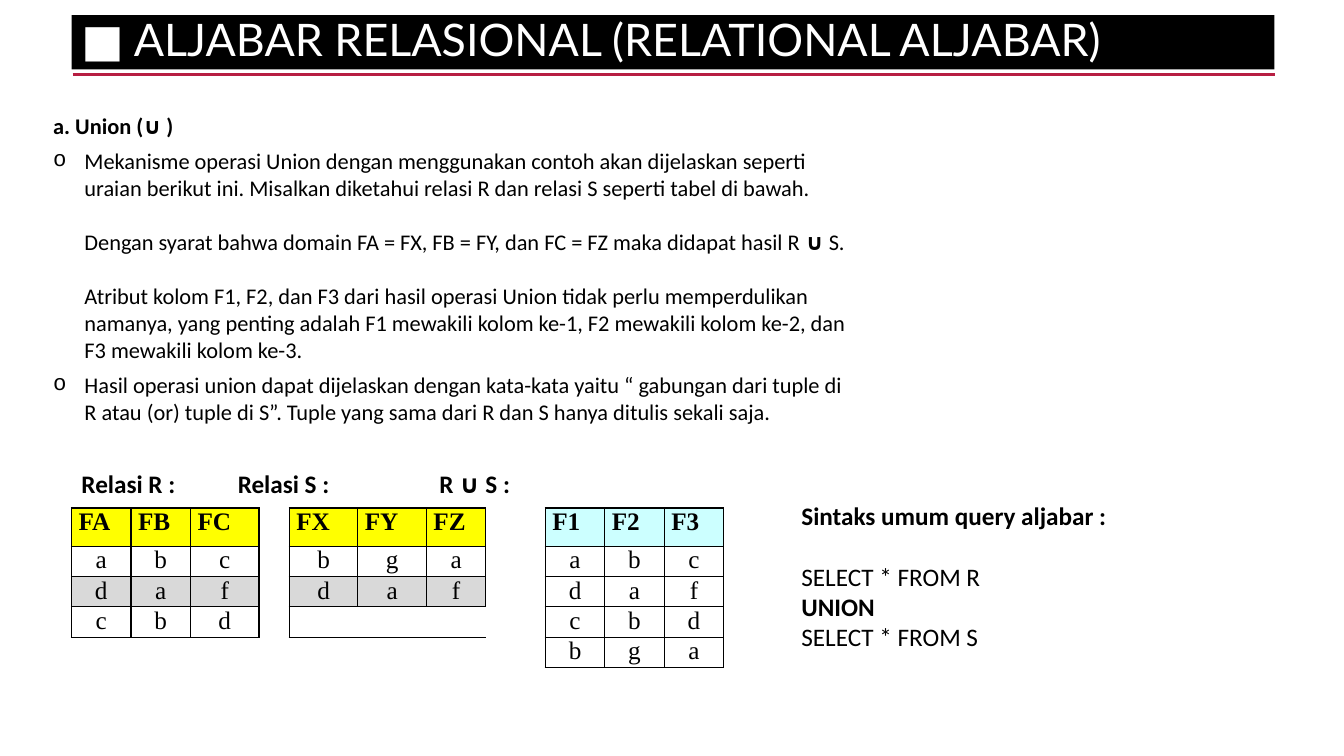
import pptx
import pptx.dml.color
import pptx.enum.shapes
import pptx.enum.text
import pptx.oxml.ns
import pptx.util
from lxml import etree

Inches = pptx.util.Inches
Pt = pptx.util.Pt
qn = pptx.oxml.ns.qn

COLORS = {
    "ink": "000000",
    "paper": "FFFFFF",
    "rule": "B71E42",
    "source": "FFFF00",
    "result": "CCFFFF",
    "shared": "D9D9D9",
}
BODY_INDENT = 0.31
LINE_GAP = 19.5
COLUMN_WIDTHS = [0.59, 0.59, 0.68, 0.3, 0.68, 0.68, 0.59, 0.59, 0.59, 0.59, 0.59]
HEADER_HEIGHT, ROW_HEIGHT = 0.38, 0.28
RELATIONS = [
    (0, "source", ["FA FB FC", "a b c", "d a f", "c b d"]),
    (4, "source", ["FX FY FZ", "b g a", "d a f"]),
    (8, "result", ["F1 F2 F3", "a b c", "d a f", "c b d", "b g a"]),
]
EXPLANATION = [
    ("o", LINE_GAP, ["Mekanisme operasi Union dengan menggunakan contoh akan dijelaskan seperti "
                     "uraian berikut ini. Misalkan diketahui relasi R dan relasi S seperti tabel di bawah."]),
    (None, LINE_GAP, ["Dengan syarat bahwa domain FA = FX, FB = FY, dan FC = FZ maka didapat hasil R ",
                      "∪", " S."]),
    (None, 6, ["Atribut kolom F1, F2, dan F3 dari hasil operasi Union tidak perlu memperdulikan "
               "namanya, yang penting adalah F1 mewakili kolom ke-1, F2 mewakili kolom ke-2, "
               "dan F3 mewakili kolom ke-3."]),
    ("o", 6, ["Hasil operasi union dapat dijelaskan dengan kata-kata yaitu “ gabungan dari tuple di "
              "R atau (or) tuple di S”. Tuple yang sama dari R dan S hanya ditulis sekali saja."]),
]
SYNTAX = [("Sintaks umum query aljabar :", True, 0), ("SELECT * FROM R", False, 22),
          ("UNION", True, 0), ("SELECT * FROM S", False, 0)]


def rgb(name):
    """Return the named colour."""
    return pptx.dml.color.RGBColor.from_string(COLORS[name])


def style(paragraph, size, family="Calibri", color="ink", bold=None):
    """Set the font of a whole paragraph."""
    font = paragraph.font
    font.size, font.name, font.bold = Pt(size), family, bold
    font.color.rgb = rgb(color)


def text_frame(slide, box):
    """Add a wrapping text box and return its frame."""
    frame = slide.shapes.add_textbox(*map(Inches, box)).text_frame
    frame.word_wrap = True
    return frame


def set_bullet(paragraph, bullet):
    """Indent a paragraph, hanging a bullet when one is given."""
    props = paragraph._p.get_or_add_pPr()
    props.set("marL", str(Inches(BODY_INDENT)))
    props.set("indent", str(-Inches(BODY_INDENT) if bullet else 0))
    if bullet:
        mark = etree.Element(qn("a:buChar"), char=bullet)
        typeface = etree.Element(qn("a:buFont"), typeface="Courier New")
        props.insert_element_before(typeface, "a:tabLst", "a:defRPr")
        props.insert_element_before(mark, "a:tabLst", "a:defRPr")


def add_heading(slide, box):
    """Place the black title bar and the red rule under it."""
    left, top, width, height = box
    rule_y = top + height + 0.05
    rule = slide.shapes.add_connector(
        pptx.enum.shapes.MSO_CONNECTOR.STRAIGHT,
        *map(Inches, (left + 0.01, rule_y, left + width + 0.01, rule_y)))
    rule.line.color.rgb, rule.line.width = rgb("rule"), Pt(2.5)
    etree.SubElement(rule._element.spPr, qn("a:effectLst"))
    bar = slide.shapes.add_shape(pptx.enum.shapes.MSO_SHAPE.RECTANGLE, *map(Inches, box))
    bar.shadow.inherit = False
    bar.fill.solid()
    bar.fill.fore_color.rgb = rgb("ink")
    bar.line.fill.background()
    bar.text_frame.vertical_anchor = pptx.enum.text.MSO_ANCHOR.MIDDLE
    title = bar.text_frame.paragraphs[0]
    title.text = "■ ALJABAR RELASIONAL (RELATIONAL ALJABAR)"
    title.alignment = pptx.enum.text.PP_ALIGN.LEFT
    title.line_spacing = 0.9
    style(title, 32, "Lato", "paper")


def add_explanation(slide, box):
    """Place the description of the union operation."""
    frame = text_frame(slide, box)
    topic = frame.paragraphs[0]
    topic.text = "a. Union (∪ )"
    topic.space_after = Pt(6)
    style(topic, 16, bold=True)
    for bullet, gap, pieces in EXPLANATION:
        point = frame.add_paragraph()
        point.space_after = Pt(gap)
        style(point, 16)
        set_bullet(point, bullet)
        for piece in pieces:
            run = point.add_run()
            run.text = piece
            if piece == "∪":
                run.font.bold = True


def add_relation_labels(slide, box):
    """Place the names of the three relations on one tabbed line."""
    labels = text_frame(slide, box).paragraphs[0]
    labels.text = "Relasi R :\tRelasi S :\tR ∪ S :"
    style(labels, 18, bold=True)
    stops = etree.Element(qn("a:tabLst"))
    for position in (1.55, 3.55):
        etree.SubElement(stops, qn("a:tab"), pos=str(Inches(position)), algn="l")
    labels._p.get_or_add_pPr().insert_element_before(stops, "a:defRPr")


def relation_cells():
    """Map each used (row, column) to its text and fill name."""
    cells = {}
    for first, header_fill, rows in RELATIONS:
        for r, row in enumerate(rows):
            shared = row == "d a f" and header_fill == "source"
            fill = header_fill if r == 0 else "shared" if shared else None
            for c, value in enumerate(row.split()):
                cells[r, first + c] = (value, fill)
    return cells


def add_border(cell, side):
    """Draw one thin edge of a table cell."""
    edge = etree.SubElement(cell._tc.get_or_add_tcPr(), qn("a:ln" + side), w=str(Pt(1)))
    paint = etree.SubElement(edge, qn("a:solidFill"))
    etree.SubElement(paint, qn("a:srgbClr"), val=COLORS["ink"])


def add_relations(slide, left, top):
    """Place the relations side by side in one table."""
    heights = [HEADER_HEIGHT] + [ROW_HEIGHT] * 4
    frame = slide.shapes.add_table(
        len(heights), len(COLUMN_WIDTHS),
        *map(Inches, (left, top, sum(COLUMN_WIDTHS), sum(heights))))
    table = frame.table
    table.first_row = table.horz_banding = False
    table._tbl.tblPr.find(qn("a:tableStyleId")).text = "{2D5ABB26-0587-4C30-8999-92F81FD0307C}"
    for column, width in zip(table.columns, COLUMN_WIDTHS):
        column.width = Inches(width)
    used = relation_cells()
    for r, height in enumerate(heights):
        table.rows[r].height = Inches(height)
        for c in range(len(COLUMN_WIDTHS)):
            cell = table.cell(r, c)
            value, fill = used.get((r, c), ("", None))
            cell.margin_left = cell.margin_right = Inches(0.07)
            cell.margin_top = cell.margin_bottom = 0
            for side, down, across in (("L", 0, -1), ("R", 0, 1), ("T", -1, 0), ("B", 1, 0)):
                if value or (r + down, c + across) in used:
                    add_border(cell, side)
            if fill:
                cell.fill.solid()
                cell.fill.fore_color.rgb = rgb(fill)
            else:
                cell.fill.background()
            entry = cell.text_frame.paragraphs[0]
            if not value:
                etree.SubElement(entry._p, qn("a:endParaRPr"), sz="1200")
                continue
            entry.text = value
            style(entry, 18, "Times New Roman", bold=r == 0)
            if r == 0:
                entry.space_before = entry.space_after = Pt(2)
            else:
                entry.alignment = pptx.enum.text.PP_ALIGN.CENTER


def add_syntax(slide, box):
    """Place the general form of the union query."""
    frame = text_frame(slide, box)
    for i, (statement, bold, gap) in enumerate(SYNTAX):
        line = frame.add_paragraph() if i else frame.paragraphs[0]
        line.text = statement
        line.space_before = Pt(gap)
        style(line, 18, bold=bold)


def main():
    """Build the slide and save it."""
    deck = pptx.Presentation()
    deck.slide_width, deck.slide_height = Inches(13.33), Inches(7.5)
    slide = deck.slides.add_slide(deck.slide_layouts[6])
    add_heading(slide, (0.71, 0.15, 11.93, 0.54))
    add_explanation(slide, (0.43, 1.06, 8.17, 3.53))
    add_relations(slide, 0.71, 5.04)
    add_syntax(slide, (7.85, 4.91, 4.3, 1.62))
    add_relation_labels(slide, (0.71, 4.6, 5.61, 0.4))
    deck.save("out.pptx")


if __name__ == "__main__":
    main()
